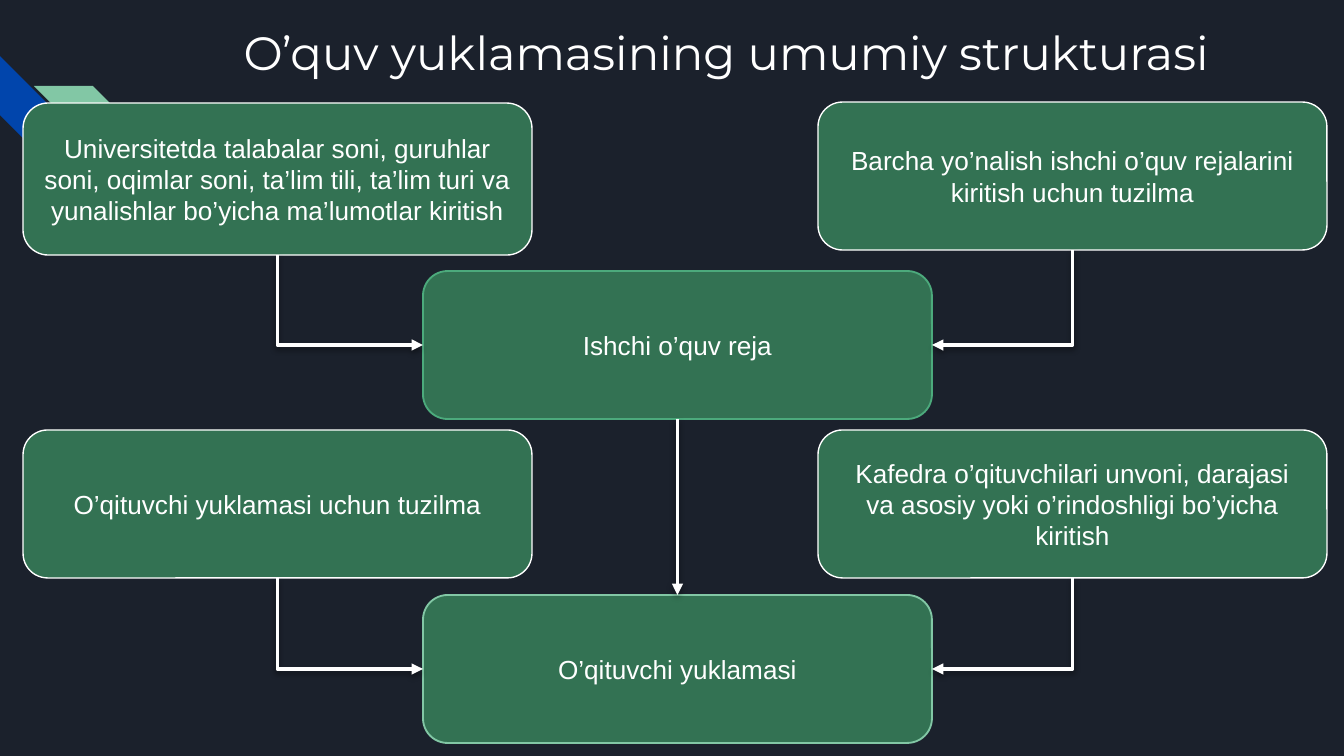
from lxml import etree
from pptx import Presentation, util as u
from pptx.dml.color import RGBColor
from pptx.enum import shapes, text
from pptx.oxml.ns import qn

EMU_PER_PX = 914400 / 134.4
COLORS = {
    "background": "1B212C", "box": "337253", "white": "FFFFFF",
    "blue": "0145AC", "mint": "82C7A5", "green": "4CAA7C",
}
LEFT, MIDDLE, RIGHT = 23, 423, 818
BOX_W, BOX_H = 509, 148


def px(n):
    return u.Emu(round(n * EMU_PER_PX))


def color(name):
    return RGBColor.from_string(COLORS[name])


def add_run(p, content, font, size):
    r = p.add_run()
    r.text = content
    r.font.name = font
    r.font.size = u.Pt(size)
    r.font.color.rgb = color("white")


def add_title(s, content):
    sp = s.shapes.title
    sp.left, sp.top, sp.width, sp.height = px(90), px(11), px(1195), px(60)
    tf = sp.text_frame
    tf.word_wrap = True
    tf.auto_size = text.MSO_AUTO_SIZE.NONE
    tf.vertical_anchor = text.MSO_ANCHOR.TOP
    tf.margin_left, tf.margin_right = px(90), px(13)
    tf.margin_top = tf.margin_bottom = px(13)
    p = tf.paragraphs[0]
    p.alignment = text.PP_ALIGN.CENTER
    add_run(p, content, "Montserrat", 25)


def add_stripe(s, x, y, fill, rotation=0, flip=False):
    sp = s.shapes.add_shape(shapes.MSO_SHAPE.DIAGONAL_STRIPE,
                            px(x), px(y), px(118), px(118))
    sp.shadow.inherit = False
    sp.fill.solid()
    sp.fill.fore_color.rgb = color(fill)
    sp.line.fill.background()
    sp.rotation = rotation
    if flip:
        sp._element.spPr.find(qn("a:xfrm")).set("flipH", "1")


def add_box(s, x, y, content, line="white", line_width=0.75, h=BOX_H):
    sp = s.shapes.add_shape(shapes.MSO_SHAPE.ROUNDED_RECTANGLE,
                            px(x), px(y), px(BOX_W), px(h))
    sp.shadow.inherit = False
    sp.fill.solid()
    sp.fill.fore_color.rgb = color("box")
    sp.line.color.rgb = color(line)
    sp.line.width = u.Pt(line_width)
    tf = sp.text_frame
    tf.word_wrap = True
    tf.vertical_anchor = text.MSO_ANCHOR.MIDDLE
    p = tf.paragraphs[0]
    p.alignment = text.PP_ALIGN.CENTER
    add_run(p, content, "Arial", 14)
    return sp


def style_arrow(cxn):
    """White line with a triangle at its end and a soft shadow below."""
    cxn.line.color.rgb = color("white")
    cxn.line.width = u.Pt(2)
    etree.SubElement(cxn.line._get_or_add_ln(), qn("a:tailEnd"), type="triangle")
    effects = etree.SubElement(cxn._element.spPr, qn("a:effectLst"))
    shadow = etree.SubElement(effects, qn("a:outerShdw"), blurRad="40000",
                              dist="20000", dir="5400000", rotWithShape="0")
    black = etree.SubElement(shadow, qn("a:srgbClr"), val="000000")
    etree.SubElement(black, qn("a:alpha"), val="38000")


def add_straight_arrow(s, upper, lower):
    x = upper.left + upper.width // 2
    style_arrow(s.shapes.add_connector(shapes.MSO_CONNECTOR.STRAIGHT, x,
                                       upper.top + upper.height, x, lower.top))


def add_elbow_arrow(s, source, target):
    """Go down from the source, then sideways to the target's near edge.

    The one-bend preset starts sideways, so it is turned a quarter
    about the midpoint of its two ends.
    """
    x1, y1 = source.left + source.width // 2, source.top + source.height
    rightward = source.left < target.left
    x2 = target.left if rightward else target.left + target.width
    y2 = target.top + target.height // 2
    mid_x, mid_y = (x1 + x2) // 2, (y1 + y2) // 2
    half_w, half_h = (y2 - y1) // 2, abs(x2 - x1) // 2
    flip = -1 if rightward else 1
    cxn = s.shapes.add_connector(
        shapes.MSO_CONNECTOR.ELBOW,
        mid_x - flip * half_w, mid_y - half_h,
        mid_x + flip * half_w, mid_y + half_h)
    spPr = cxn._element.spPr
    spPr.find(qn("a:prstGeom")).set("prst", "bentConnector2")
    spPr.find(qn("a:xfrm")).set("rot", str((270 if rightward else 90) * 60000))
    style_arrow(cxn)


def main():
    prs = Presentation()
    prs.slide_width, prs.slide_height = px(1344), px(756)
    s = prs.slides.add_slide(prs.slide_layouts[5])
    s.background.fill.solid()
    s.background.fill.fore_color.rgb = color("background")

    add_stripe(s, 0, 56, "blue", rotation=270)
    add_stripe(s, 34, 86, "mint", flip=True)
    add_title(s, "O’quv yuklamasining umumiy strukturasi")

    students = add_box(
        s, LEFT, 103, "Universitetda talabalar soni, guruhlar soni, oqimlar soni, "
        "ta’lim tili, ta’lim turi va yunalishlar bo’yicha ma’lumotlar kiritish", h=152)
    plans = add_box(s, RIGHT, 102,
                    "Barcha yo’nalish ishchi o’quv rejalarini kiritish uchun tuzilma")
    work_plan = add_box(s, MIDDLE, 271, "Ishchi o’quv reja", "green", 1)
    load_form = add_box(s, LEFT, 430, "O’qituvchi yuklamasi uchun tuzilma")
    teachers = add_box(
        s, RIGHT, 430, "Kafedra o’qituvchilari unvoni, darajasi va asosiy yoki "
        "o’rindoshligi bo’yicha kiritish")
    load = add_box(s, MIDDLE, 595, "O’qituvchi yuklamasi", "mint", 1)

    for source, target in ((students, work_plan), (plans, work_plan),
                           (load_form, load), (teachers, load)):
        add_elbow_arrow(s, source, target)
    add_straight_arrow(s, work_plan, load)

    prs.save("out.pptx")


if __name__ == "__main__":
    main()
